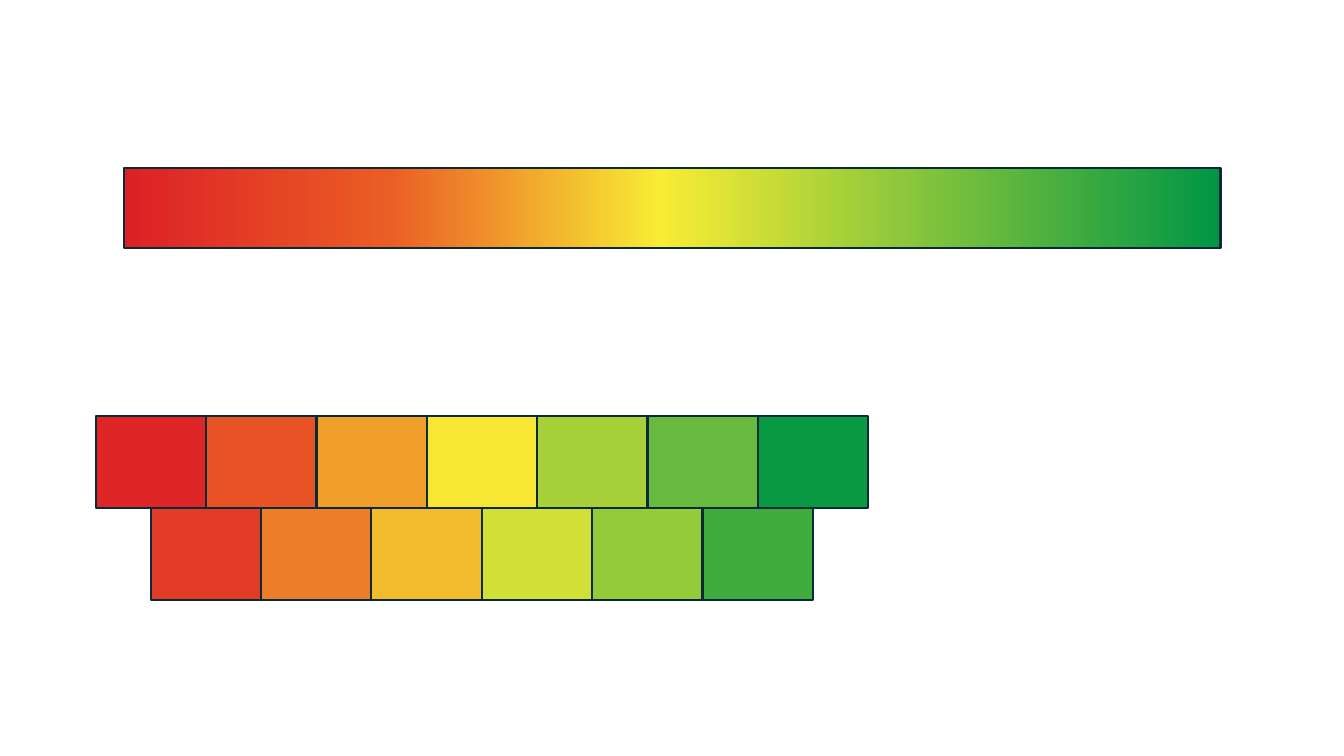
import copy
import dataclasses

import pptx
import pptx.dml.color
import pptx.enum.shapes
import pptx.oxml.ns
import pptx.util

EMU_PER_PX = 4572


@dataclasses.dataclass(frozen=True)
class Theme:
    outline: str = "092A39"
    outline_points: float = 1.5
    scale_stops: tuple = ((0, "DD2026"), (0.24, "EA5D25"), (0.49, "F8EC34"), (1, "009644"))
    upper_swatches: tuple = ("DE2626", "E85325", "F09F2C", "F7E633", "A8D039", "67BA3D", "0A9A43")
    lower_swatches: tuple = ("E33C26", "ED7D28", "F3BC2F", "D2DF36", "95CA3A", "40AC40")


def px(length):
    return pptx.util.Emu(length * EMU_PER_PX)


def rgb(value):
    return pptx.dml.color.RGBColor.from_string(value)


class SlideBuilder:
    def __init__(self, presentation, theme):
        self.theme = theme
        self.slide = presentation.slides.add_slide(presentation.slide_layouts[6])

    def box(self, left, top, width, height):
        shape = self.slide.shapes.add_shape(
            pptx.enum.shapes.MSO_SHAPE.RECTANGLE, px(left), px(top), px(width), px(height)
        )
        formats = {
            shape.shadow: {"inherit": False},
            shape.line: {"width": pptx.util.Pt(self.theme.outline_points)},
            shape.line.color: {"rgb": rgb(self.theme.outline)},
        }
        for target, values in formats.items():
            for name, value in values.items():
                setattr(target, name, value)
        return shape

    def swatch(self, left, top, width, height, color):
        shape = self.box(left, top, width, height)
        shape.fill.solid()
        shape.fill.fore_color.rgb = rgb(color)

    def swatch_row(self, left, top, pitch, height, colors):
        for column, color in enumerate(colors):
            self.swatch(left + column * pitch, top, pitch, height, color)

    def gradient_bar(self, left, top, width, height, stops):
        shape = self.box(left, top, width, height)
        shape.fill.gradient()
        shape.fill.gradient_angle = 0
        stop_list = shape.element.find(".//" + pptx.oxml.ns.qn("a:gsLst"))
        while len(stop_list) < len(stops):
            stop_list.append(copy.deepcopy(stop_list[0]))
        for stop, (position, color) in zip(shape.fill.gradient_stops, stops):
            stop.position = position
            stop.color.rgb = rgb(color)


def main():
    presentation = pptx.Presentation()
    presentation.slide_width = px(2667)
    presentation.slide_height = px(1500)
    theme = Theme()
    builder = SlideBuilder(presentation, theme)

    builder.gradient_bar(246, 334, 2176, 158, theme.scale_stops)

    left, top, pitch, height = 190, 826, 219, 182
    builder.swatch_row(left, top, pitch, height, theme.upper_swatches)
    builder.swatch_row(left + pitch // 2, top + height, pitch, height, theme.lower_swatches)

    presentation.save("out.pptx")


if __name__ == "__main__":
    main()
